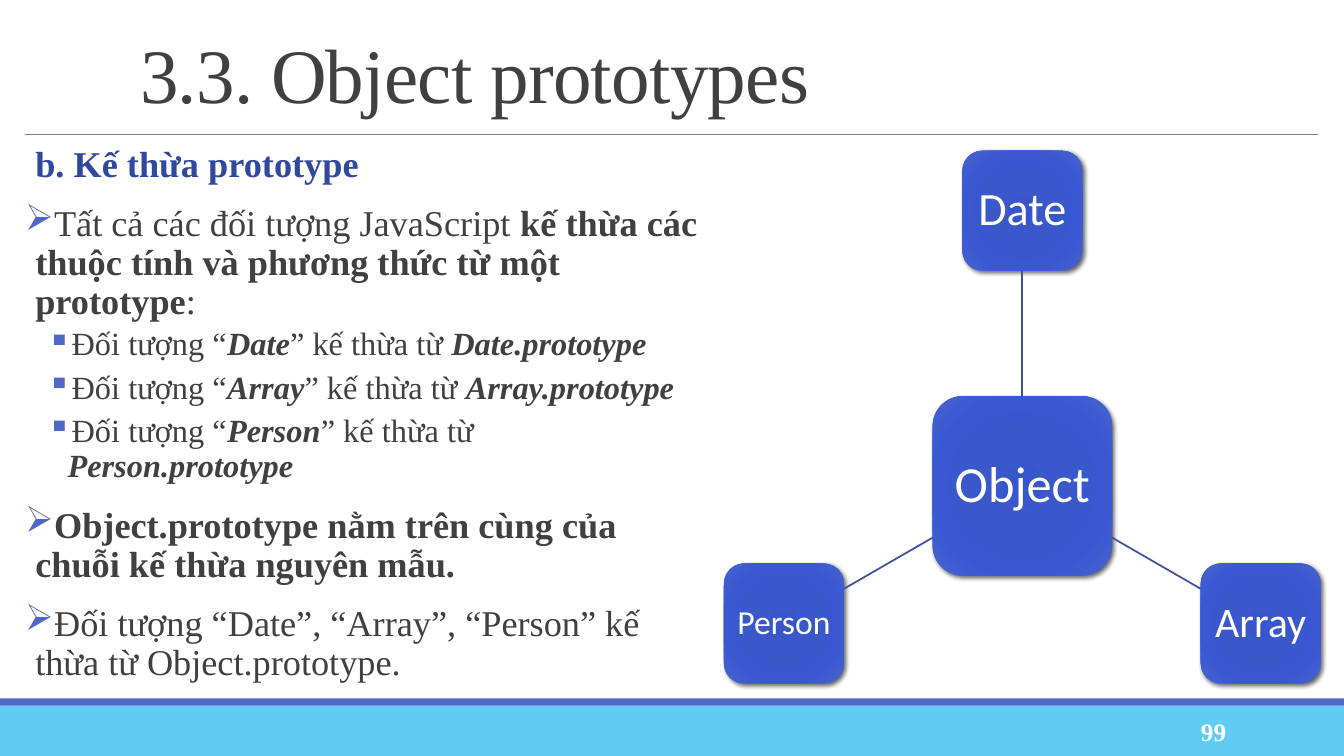
import math

import pptx
import pptx.dml.color
import pptx.enum.shapes
import pptx.enum.text
import pptx.oxml
import pptx.oxml.ns
import pptx.util
from pptx.util import Inches

SERIF = "Times New Roman"
INK = "404040"
ACCENT = "4E67C8"
STOPS = [(0, "3856CB"), (34, "3B58CB"), (70, "3958D1"), (100, "4863CE")]
HUB = (10.14, 4.82)
HUB_SIDE, NODE_SIDE, RADIUS = 1.78, 1.19, 2.73
NODES = [("Date", 33, -90), ("Array", 30, 30), ("Person", 24, 150)]
SHAPES = pptx.enum.shapes.MSO_SHAPE
ALIGN = pptx.enum.text.PP_ALIGN
ANCHOR = pptx.enum.text.MSO_ANCHOR


def rgb(value):
    """Return a colour from a hex string."""
    return pptx.dml.color.RGBColor.from_string(value)


def element(xml):
    """Parse a DrawingML fragment, adding its namespace."""
    head, rest = xml.split(">", 1)
    slash = "/" if head.endswith("/") else ""
    head = head.rstrip("/") + " " + pptx.oxml.ns.nsdecls("a") + slash
    return pptx.oxml.parse_xml(head + ">" + rest)


def add_run(p, text, size, color, font=SERIF, bold=False, italic=False):
    """Add a formatted run to a paragraph."""
    r = p.add_run()
    r.text = text
    r.font.name, r.font.size = font, pptx.util.Pt(size)
    r.font.bold, r.font.italic = bold, italic
    r.font.color.rgb = rgb(color)
    return r


def add_box(s, left, top, width, height, anchor=ANCHOR.TOP, side=0.1):
    """Add a wrapping text box and return its text frame."""
    box = s.shapes.add_textbox(Inches(left), Inches(top), Inches(width), Inches(height))
    tf = box.text_frame
    tf.word_wrap = True
    tf.vertical_anchor = anchor
    tf.margin_left = tf.margin_right = Inches(side)
    return tf


def add_band(s, top, height, color):
    """Add a full-width footer band."""
    sp = s.shapes.add_shape(SHAPES.RECTANGLE, 0, Inches(top), Inches(13.33), Inches(height))
    sp.shadow.inherit = False
    sp.fill.solid()
    sp.fill.fore_color.rgb = rgb(color)
    sp.line.fill.background()


def add_line(s, start, end, color, width):
    """Add a straight line between two points."""
    points = [Inches(v) for v in (*start, *end)]
    line = s.shapes.add_connector(pptx.enum.shapes.MSO_CONNECTOR.STRAIGHT, *points)
    line.line.color.rgb = rgb(color)
    line.line.width = pptx.util.Pt(width)
    line._element.spPr.append(element("<a:effectLst/>"))
    return line


def add_node(s, center, side, text, size):
    """Add a shaded rounded square centred on a point."""
    x, y = (v - side / 2 for v in center)
    sp = s.shapes.add_shape(SHAPES.ROUNDED_RECTANGLE, Inches(x), Inches(y), Inches(side), Inches(side))
    sp.fill.background()
    sp.line.fill.background()
    sp.shadow.inherit = False
    stops = "".join(f'<a:gs pos="{pos * 1000}"><a:srgbClr val="{c}"/></a:gs>' for pos, c in STOPS)
    spPr = sp._element.spPr
    spPr.replace(spPr.find(pptx.oxml.ns.qn("a:noFill")), element(
        f'<a:gradFill rotWithShape="1"><a:gsLst>{stops}</a:gsLst><a:path path="circle">'
        '<a:fillToRect l="100000" t="100000" r="100000" b="100000"/></a:path></a:gradFill>'))
    spPr.find(pptx.oxml.ns.qn("a:effectLst")).append(element(
        '<a:outerShdw blurRad="44450" dist="25400" dir="2700000" algn="ctr" rotWithShape="0">'
        '<a:srgbClr val="000000"><a:alpha val="60000"/></a:srgbClr></a:outerShdw>'))
    tf = sp.text_frame
    tf.word_wrap = False
    tf.vertical_anchor = ANCHOR.MIDDLE
    p = tf.paragraphs[0]
    p.alignment = ALIGN.CENTER
    p.line_spacing = 0.9
    add_run(p, text, size, "FFFFFF", "Calibri")
    return sp


def add_diagram(s):
    """Add the hub, its nodes and the spokes between them."""
    hub = add_node(s, HUB, HUB_SIDE, "Object", 36)
    for text, size, angle in NODES:
        dx, dy = math.cos(math.radians(angle)), math.sin(math.radians(angle))
        reach = max(abs(dx), abs(dy))
        near, far, middle = (
            (HUB[0] + d * dx, HUB[1] + d * dy)
            for d in (HUB_SIDE / 2 / reach, RADIUS - NODE_SIDE / 2 / reach, RADIUS))
        node = add_node(s, middle, NODE_SIDE, text, size)
        spoke = add_line(s, near, far, "3E52A0", 1.25)
        if angle == -90:
            spoke.begin_connect(hub, 0)
            spoke.end_connect(node, 2)


def add_item(p, runs, bullet="➢", color=INK):
    """Fill a paragraph with (text, style) runs; style holds b and i."""
    sub = bullet == "▪"
    left, hang = (0.42, -0.2) if sub else (0.1, -0.1 if bullet else 0)
    pPr = p._p.get_or_add_pPr()
    pPr.set("marL", str(Inches(left)))
    pPr.set("indent", str(Inches(hang)))
    if bullet:
        pPr.append(element(f'<a:buClr><a:srgbClr val="{ACCENT}"/></a:buClr>'))
        pPr.append(element(f'<a:buChar char="{bullet}"/>'))
    p.line_spacing = 0.9
    p.space_before = pptx.util.Pt(2 if sub else 12 if bullet else 0)
    p.space_after = pptx.util.Pt(4 if sub else 2)
    for text, style in runs:
        add_run(p, text, 23.1 if sub else 25.9, color, bold="b" in style, italic="i" in style)


def add_body(s):
    """Add the heading and bullet list."""
    tf = add_box(s, 0.25, 1.4, 6.71, 5.34, side=0)
    add_item(tf.paragraphs[0], [("b. Kế thừa prototype", "b")], "", "31489F")
    add_item(tf.add_paragraph(), [
        ("Tất cả các đối tượng JavaScript ", ""),
        ("kế thừa các thuộc tính và phương thức từ một prototype", "b"),
        (":", "")])
    for name in ("Date", "Array", "Person"):
        add_item(tf.add_paragraph(), [
            ("Đối tượng “", ""), (name, "bi"),
            ("” kế thừa từ ", ""), (f"{name}.prototype", "bi")], "▪")
    add_item(tf.add_paragraph(), [
        ("Object.prototype nằm trên cùng của chuỗi kế thừa nguyên mẫu.", "b")])
    add_item(tf.add_paragraph(), [
        ("Đối tượng “Date”, “Array”, “Person” kế thừa từ Object.prototype.", "")])


def main():
    """Build the slide and save it."""
    prs = pptx.Presentation()
    prs.slide_width, prs.slide_height = Inches(13.33), Inches(7.5)
    s = prs.slides.add_slide(prs.slide_layouts[6])
    add_band(s, 7, 0.5, "5ECCF3")
    add_band(s, 6.93, 0.07, ACCENT)
    add_line(s, (0.25, 1.33), (13.07, 1.33), "808080", 0.5)
    p = add_box(s, 1.29, 0.31, 11.78, 0.96, ANCHOR.MIDDLE).paragraphs[0]
    p.line_spacing = 0.85
    r = add_run(p, "3.3. Object prototypes", 55, INK)
    r.font._element.set("spc", "-50")
    add_body(s)
    p = add_box(s, 10.83, 7.06, 1.43, 0.4, ANCHOR.MIDDLE).paragraphs[0]
    p.alignment = ALIGN.RIGHT
    add_run(p, "99", 18, "FFFFFF", bold=True)
    add_diagram(s)
    prs.save("out.pptx")


if __name__ == "__main__":
    main()
